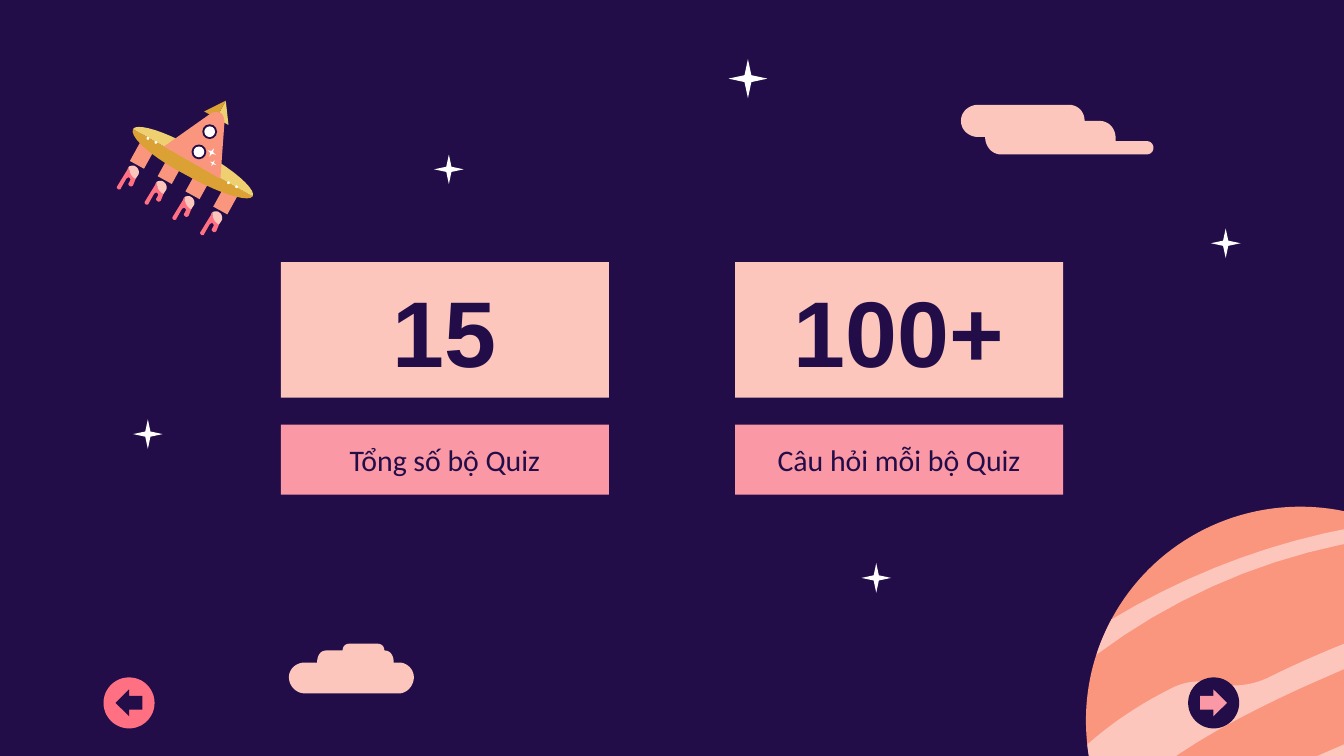
from pptx import Presentation
from pptx.dml.color import RGBColor
from pptx.enum.shapes import MSO_SHAPE
from pptx.enum.text import MSO_ANCHOR, MSO_AUTO_SIZE, PP_ALIGN
from pptx.util import Inches, Pt

RECT, OVAL, STAR = MSO_SHAPE.RECTANGLE, MSO_SHAPE.OVAL, MSO_SHAPE.STAR_4_POINT
LEFT, RIGHT = MSO_SHAPE.LEFT_ARROW, MSO_SHAPE.RIGHT_ARROW
MIDDLE, CENTER, NO_FIT = MSO_ANCHOR.MIDDLE, PP_ALIGN.CENTER, MSO_AUTO_SIZE.NONE

COLORS = {
    "navy": "220D49", "peach": "FDC6BC", "pink": "FA98A5", "coral": "FA967E",
    "rose": "FF7083", "gold": "EED071", "ochre": "DBA134", "white": "FFFFFF",
}

STATS = [("15", "Tổng số bộ Quiz"), ("100+", "Câu hỏi mỗi bộ Quiz")]
CARD_LEFT, CARD_STEP, CARD_W = 2.09, 3.38, 2.44
NUMBER_ROW, LABEL_ROW = (1.95, 1.01), (3.16, 0.52)

STARS = [(5.42, 0.44, 0.29), (3.23, 1.15, 0.22), (0.99, 3.12, 0.22),
         (9.01, 1.7, 0.22), (6.41, 4.19, 0.22)]
BUTTONS = [(8.84, RIGHT, "navy", "pink"), (0.77, LEFT, "rose", "navy")]

# Each outline is a start point, then lines (2 numbers) and curves (6 numbers).
PLANET_BANDS = [
    [(10.28, 3.89), (9.57, 3.99, 8.88, 4.24, 8.27, 4.61),
     (8.23, 4.69, 8.19, 4.77, 8.16, 4.87), (8.83, 4.37, 9.63, 4.06, 10.46, 3.98),
     (10.4, 3.95, 10.34, 3.92, 10.28, 3.89)],
    [(10.98, 4.46), (10.45, 4.61, 9.92, 4.8, 9.42, 5.05),
     (9.35, 5.08, 9.27, 5.1, 9.19, 5.1), (9.15, 5.1, 9.11, 5.1, 9.07, 5.09),
     (9.02, 5.07, 8.98, 5.07, 8.93, 5.07), (8.85, 5.07, 8.77, 5.09, 8.7, 5.13),
     (8.48, 5.24, 8.27, 5.38, 8.09, 5.54), (8.11, 5.72, 8.16, 5.89, 8.24, 6.05),
     (8.63, 5.64, 9.16, 5.36, 9.68, 5.12), (10.13, 4.92, 10.58, 4.73, 11.05, 4.56),
     (11.03, 4.53, 11, 4.5, 10.98, 4.46)],
    [(11.25, 5.19), (10.24, 5.34, 9.29, 5.78, 8.53, 6.47),
     (8.58, 6.52, 8.64, 6.57, 8.7, 6.62), (9.47, 6.11, 10.33, 5.77, 11.24, 5.6),
     (11.25, 5.52, 11.26, 5.44, 11.26, 5.36), (11.26, 5.3, 11.26, 5.24, 11.25, 5.19)],
]
CLOUDS = [
    [(7.95, 0.78), (8.02, 0.78, 8.07, 0.83, 8.07, 0.9), (8.18, 0.9),
     (8.26, 0.9, 8.31, 0.97, 8.3, 1.05), (8.53, 1.05),
     (8.6, 1.05, 8.6, 1.15, 8.53, 1.15), (7.45, 1.15),
     (7.38, 1.15, 7.33, 1.09, 7.33, 1.02), (7.28, 1.02),
     (7.21, 1.02, 7.15, 0.97, 7.15, 0.9), (7.15, 0.83, 7.21, 0.78, 7.28, 0.78)],
    [(2.81, 4.79), (2.84, 4.79, 2.86, 4.81, 2.86, 4.84),
     (2.9, 4.84, 2.93, 4.87, 2.93, 4.93), (2.97, 4.93),
     (3.03, 4.93, 3.08, 4.98, 3.08, 5.04), (3.08, 5.1, 3.03, 5.16, 2.97, 5.16),
     (2.27, 5.16), (2.2, 5.16, 2.15, 5.1, 2.15, 5.04),
     (2.15, 4.98, 2.2, 4.93, 2.27, 4.93), (2.36, 4.93),
     (2.36, 4.87, 2.39, 4.84, 2.43, 4.84), (2.55, 4.84),
     (2.55, 4.81, 2.57, 4.79, 2.6, 4.79)],
]
FLAME = [
    (0.96, 1.24), (0.96, 1.28, 0.98, 1.31, 1.01, 1.33), (0.99, 1.38),
    (0.98, 1.39, 0.97, 1.39, 0.96, 1.38), (0.96, 1.38, 0.95, 1.37, 0.96, 1.36),
    (0.97, 1.34), (0.97, 1.33, 0.97, 1.33, 0.96, 1.32),
    (0.96, 1.32, 0.95, 1.32, 0.94, 1.33), (0.9, 1.4),
    (0.9, 1.41, 0.89, 1.41, 0.88, 1.41), (0.87, 1.4, 0.87, 1.4, 0.87, 1.39),
    (0.95, 1.26), (0.95, 1.25, 0.96, 1.24, 0.96, 1.24)]
FLAME_TIP = [
    (1.01, 1.24), (1.03, 1.25, 1.04, 1.28, 1.03, 1.3), (1.01, 1.33),
    (0.98, 1.32, 0.96, 1.28, 0.96, 1.24), (0.98, 1.23, 1, 1.23, 1.01, 1.24)]
ROCKET = [
    ("gold", [(1.68, 0.75), (1.7, 0.93), (1.61, 0.88)]),
    ("ochre", [(1.68, 0.75), (1.61, 0.88), (1.52, 0.83)]),
    ("ochre", [(1.88, 1.46), (1.85, 1.51, 1.63, 1.44, 1.38, 1.3),
               (1.13, 1.17, 0.96, 1.02, 0.99, 0.96)]),
    ("gold", [(1.48, 1.12), (1.73, 1.25, 1.91, 1.41, 1.88, 1.46), (0.99, 0.96),
              (1.02, 0.91, 1.24, 0.98, 1.48, 1.12)]),
    ("coral", [(1.64, 0.84), (1.66, 0.85, 1.67, 0.88, 1.67, 0.91), (1.64, 1.33),
               (1.22, 1.09), (1.56, 0.85), (1.59, 0.83, 1.61, 0.83, 1.64, 0.84)]),
]
ENGINES, ENGINE_SPAN, TILT = 4, (0.62, 0.34), 28.9
WINDOWS = [(1.48, 1.13), (1.56, 0.98)]
LIGHTS = [(1.75, 1.38), (1.69, 1.35), (1.09, 1.02), (1.15, 1.05)]
SPARKLES = [(1.54, 1.1, 0.07), (1.56, 1.19, 0.05)]


def paint(sp, color):
    sp.shadow.inherit = False
    sp.fill.solid()
    sp.fill.fore_color.rgb = RGBColor.from_string(COLORS[color])
    sp.line.fill.background()


def add_shape(shapes, kind, x, y, w, h, color, rotation=0, adjust=()):
    sp = shapes.add_shape(kind, Inches(x), Inches(y), Inches(w), Inches(h))
    sp.rotation = rotation
    for i, value in enumerate(adjust):
        sp.adjustments[i] = value
    paint(sp, color)
    return sp


def add_outline(shapes, outline, color, dx=0, dy=0, steps=10):
    points = [outline[0]]
    for seg in outline[1:]:
        if len(seg) == 2:
            points.append(seg)
            continue
        x0, y0 = points[-1]
        x1, y1, x2, y2, x3, y3 = seg
        for t in (n / steps for n in range(1, steps + 1)):
            a, b, c, d = (1 - t) ** 3, 3 * t * (1 - t) ** 2, 3 * t * t * (1 - t), t ** 3
            points.append((a * x0 + b * x1 + c * x2 + d * x3,
                           a * y0 + b * y1 + c * y2 + d * y3))
    points = [(Inches(x + dx), Inches(y + dy)) for x, y in points]
    builder = shapes.build_freeform(*points[0])
    builder.add_line_segments(points[1:], close=True)
    paint(builder.convert_to_shape(), color)


def write(sp, text, size, font, bold=False, color="navy"):
    tf = sp.text_frame
    tf.word_wrap, tf.auto_size, tf.vertical_anchor = True, NO_FIT, MIDDLE
    tf.margin_left = tf.margin_right = tf.margin_top = tf.margin_bottom = Inches(0.1)
    p = tf.paragraphs[0]
    p.alignment = CENTER
    r = p.add_run()
    r.text = text
    r.font.size, r.font.name, r.font.bold = Pt(size), font, bold
    r.font.color.rgb = RGBColor.from_string(COLORS[color])


def add_rocket(shapes):
    offsets = [[i * span / (ENGINES - 1) for span in ENGINE_SPAN] for i in range(ENGINES)]
    for dx, dy in offsets:
        add_shape(shapes, RECT, 1.01 + dx, 1.03 + dy, 0.12, 0.21, "coral", TILT)
        add_outline(shapes, FLAME, "rose", dx, dy)
        add_outline(shapes, FLAME_TIP, "peach", dx, dy)
    for color, outline in ROCKET:
        add_outline(shapes, outline, color)
    for x, y in LIGHTS:
        add_shape(shapes, OVAL, x, y, 0.02, 0.02, "white")
    for x, y in WINDOWS:
        for d, color in ((0.11, "navy"), (0.08, "white")):
            add_shape(shapes, OVAL, x - d / 2, y - d / 2, d, d, color)
    for x, y, d in SPARKLES:
        add_shape(shapes, STAR, x, y, d, d, "white", TILT, [0.15])


def main():
    prs = Presentation()
    prs.slide_width = Inches(10)
    prs.slide_height = prs.slide_width * 9 // 16
    slide = prs.slides.add_slide(prs.slide_layouts[5])
    slide.background.fill.solid()
    slide.background.fill.fore_color.rgb = RGBColor.from_string(COLORS["navy"])
    shapes = slide.shapes

    planet = shapes.add_group_shape().shapes
    add_shape(planet, OVAL, 8.08, 3.77, 3.19, 3.18, "coral")
    for band in PLANET_BANDS:
        add_outline(planet, band, "peach")
    for cloud in CLOUDS:
        add_outline(shapes, cloud, "peach")
    for x, y, d in STARS:
        add_shape(shapes, STAR, x, y, d, d, "white", adjust=[0.125])
    add_rocket(shapes.add_group_shape().shapes)

    for i, (number, label) in enumerate(STATS):
        x = CARD_LEFT + i * CARD_STEP
        y, h = NUMBER_ROW
        if i == 0:
            sp = shapes.title
            sp.left, sp.top, sp.width, sp.height = map(Inches, (x, y, CARD_W, h))
            paint(sp, "peach")
        else:
            sp = add_shape(shapes, RECT, x, y, CARD_W, h, "peach")
        write(sp, number, 50, "Arial", bold=True)
        y, h = LABEL_ROW
        write(add_shape(shapes, RECT, x, y, CARD_W, h, "pink"), label, 16, "Calibri")

    for x, arrow, disc_color, arrow_color in BUTTONS:
        button = shapes.add_group_shape().shapes
        add_shape(button, OVAL, x, 5.04, 0.38, 0.38, disc_color)
        add_shape(button, arrow, x + 0.09, 5.13, 0.2, 0.2, arrow_color,
                  adjust=[0.513, 0.507])

    prs.save("out.pptx")


if __name__ == "__main__":
    main()
